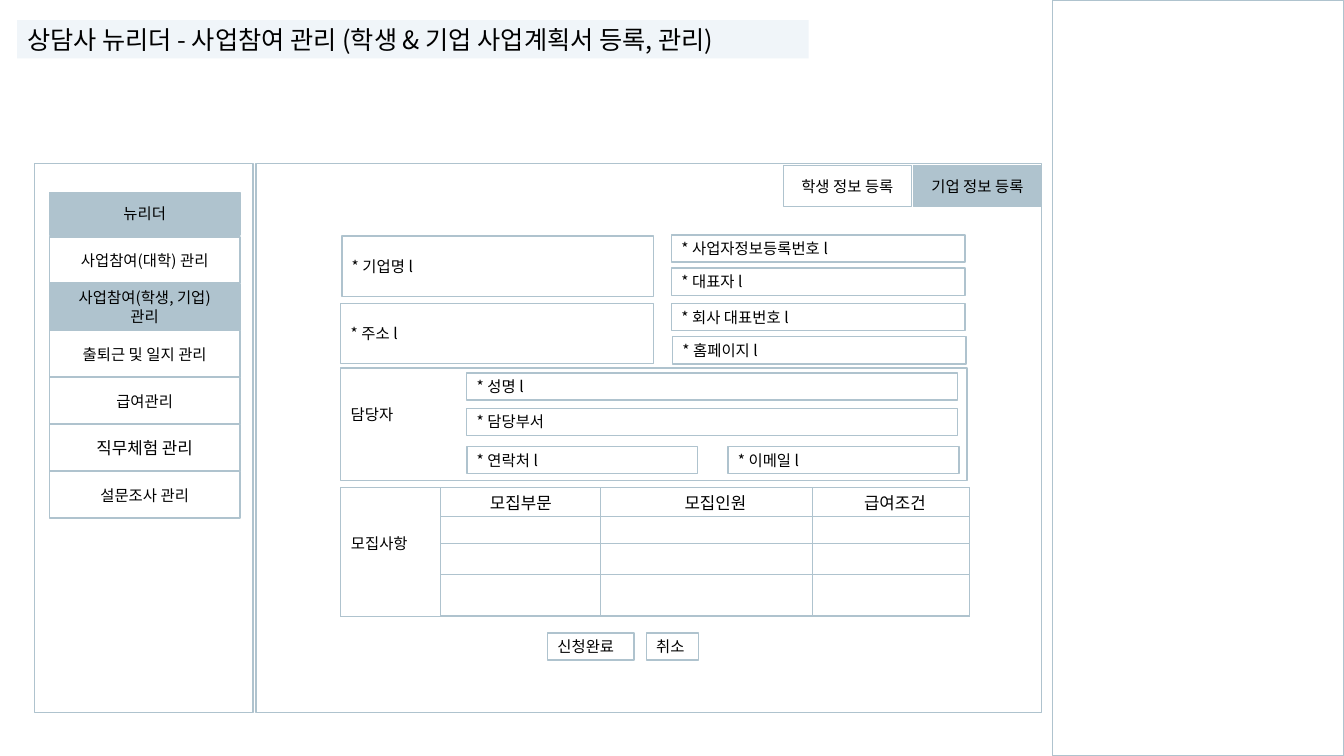
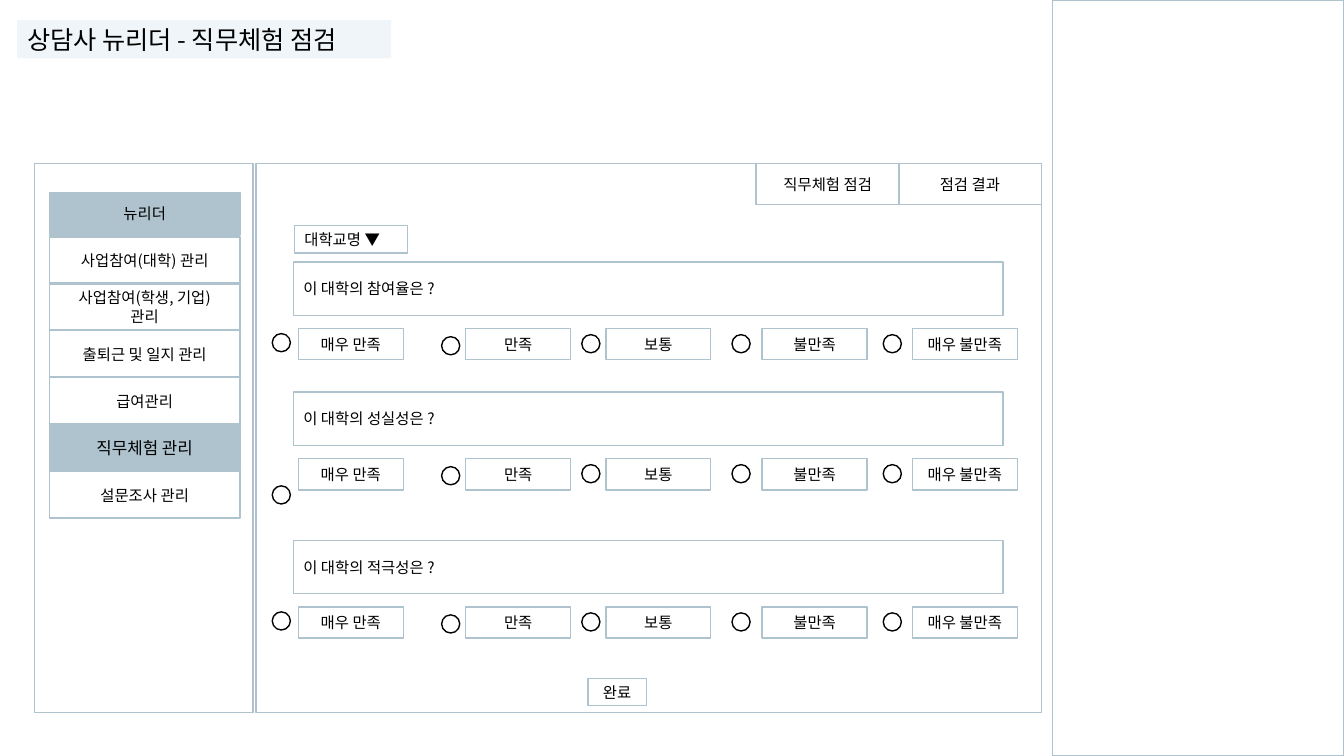
from lxml import etree
from pptx import Presentation
from pptx.dml.color import RGBColor
from pptx.enum.shapes import MSO_SHAPE
from pptx.enum.text import MSO_ANCHOR, PP_ALIGN
from pptx.oxml.ns import qn
from pptx.util import Inches, Pt

RECT, OVAL = MSO_SHAPE.RECTANGLE, MSO_SHAPE.OVAL
LEFT, MID = PP_ALIGN.LEFT, PP_ALIGN.CENTER
CENTER = MSO_ANCHOR.MIDDLE
FONT = "Noto Sans CJK KR"
BLUE, PALE, BLACK = "AFC3CE", "F0F5F9", "000000"
rgb = RGBColor.from_string


def text(frame, words, size=11, align=LEFT):
    """Write one paragraph per line of words."""
    for i, line in enumerate(words.split("\n")):
        para = frame.add_paragraph() if i else frame.paragraphs[0]
        para.alignment = align
        run = para.add_run()
        run.text = line
        font = run.font
        font.size, font.bold = Pt(size), False
        font.color.rgb = rgb(BLACK)
        font.name = FONT
        east = etree.SubElement(run._r.get_or_add_rPr(), qn("a:ea"))
        east.set("typeface", FONT)


def box(slide, x, y, w, h, words="", fill=None, line=BLUE, kind=RECT, low=0.05, **style):
    """Draw an outlined shape; low is the inset below its text."""
    shape = slide.shapes.add_shape(kind, Inches(x), Inches(y), Inches(w), Inches(h))
    shape.shadow.inherit = False
    if fill:
        shape.fill.solid()
        shape.fill.fore_color.rgb = rgb(fill)
    else:
        shape.fill.background()
    if line:
        shape.line.color.rgb = rgb(line)
        shape.line.width = Pt(1)
    else:
        shape.line.fill.background()
    if words:
        frame = shape.text_frame
        frame.word_wrap = True
        frame.vertical_anchor = CENTER
        frame.margin_bottom = Inches(low)
        text(frame, words, **style)


deck = Presentation()
deck.slide_width, deck.slide_height = Inches(13.33), Inches(7.5)

# Shared screen: title band, panels and side menu
MENU = ["사업참여(대학) 관리", "사업참여(학생, 기업)\n관리", "출퇴근 및 일지 관리",
        "급여관리", "직무체험 관리", "설문조사 관리"]
STEP = (4.68 - 2.35) / 5
PAGES = [("상담사 뉴리더 - 사업참여 관리 (학생 & 기업 사업계획서 등록, 관리)", 7.85, 1),
         ("상담사 뉴리더 - 직무체험 점검", 3.71, 4)]
slides = []
for title, width, active in PAGES:
    slide = deck.slides.add_slide(deck.slide_layouts[6])
    slides.append(slide)
    box(slide, 0.17, 0.2, width, 0.38, title, fill=PALE, line=None, size=18)
    box(slide, 10.44, 0, 2.89, 7.5)
    box(slide, 2.54, 1.62, 7.79, 5.45)
    box(slide, 0.34, 1.62, 2.17, 5.45)
    box(slide, 0.49, 1.91, 1.89, 0.42, "뉴리더", fill=BLUE, align=MID)
    for i, item in enumerate(MENU):
        box(slide, 0.49, 2.35 + i * STEP, 1.89, 0.46, item,
            fill=BLUE if i == active else None,
            size=12 if item == "직무체험 관리" else 11, align=MID)
form, survey = slides

# Form: tabs
box(form, 9.06, 1.64, 1.27, 0.41, "기업 정보 등록", fill=BLUE, align=MID)
box(form, 7.77, 1.64, 1.27, 0.41, "학생 정보 등록", align=MID)

# Form: company and contact fields
box(form, 3.38, 3.65, 6.21, 1.12, "담당자", low=0.24)
for x, y, w, h, label in [
    (3.39, 2.34, 3.09, 0.6, "* 기업명 l"),
    (3.38, 3.01, 3.1, 0.6, "* 주소 l"),
    (6.66, 2.33, 2.91, 0.27, "* 사업자정보등록번호 l"),
    (6.66, 2.66, 2.91, 0.27, "* 대표자 l"),
    (6.66, 3.01, 2.91, 0.27, "* 회사 대표번호 l"),
    (6.67, 3.34, 2.91, 0.27, "* 홈페이지 l"),
    (4.63, 3.7, 4.87, 0.27, "* 성명 l"),
    (4.63, 4.05, 4.87, 0.27, "* 담당부서"),
    (4.63, 4.43, 2.29, 0.27, "* 연락처 l"),
    (7.22, 4.43, 2.29, 0.27, "* 이메일 l"),
    (5.43, 6.28, 0.86, 0.27, "신청완료"),
    (6.41, 6.28, 0.52, 0.27, "취소"),
]:
    box(form, x, y, w, h, label)

# Form: recruitment table
COLS, ROWS = [0.99, 1.58, 2.11, 1.56], [0.28, 0.27, 0.31, 0.22]
HEADS = [("모집사항", 0.1, 11), ("모집부문", 0.49, 12),
         ("모집인원", 0.84, 12), ("급여조건", 0.51, 12)]
grid = form.shapes.add_table(4, 4, Inches(3.38), Inches(4.84),
                             Inches(sum(COLS)), Inches(sum(ROWS))).table
grid.first_row = grid.horz_banding = False
for c, width in enumerate(COLS):
    grid.columns[c].width = Inches(width)
for r, height in enumerate(ROWS):
    grid.rows[r].height = Inches(height)
    for c, (head, inset, size) in enumerate(HEADS):
        cell = grid.cell(r, c)
        cell.fill.background()
        cell.vertical_anchor = CENTER
        cell.margin_left = Inches(inset)
        cell.margin_right = cell.margin_top = cell.margin_bottom = 0
        if r == 0:
            text(cell.text_frame, head, size=size)
        else:
            cell.text_frame.paragraphs[0]._p.get_or_add_endParaRPr().set("sz", "800")
        outer = [("lnL", c == 0), ("lnR", c == 3), ("lnT", r == 0), ("lnB", r == 3)]
        for i, (side, edge) in enumerate(outer):
            rule = etree.Element(qn("a:" + side), w=str(Pt(1 if edge else 0.5)))
            solid = etree.SubElement(rule, qn("a:solidFill"))
            etree.SubElement(solid, qn("a:srgbClr"), val=BLUE)
            cell._tc.get_or_add_tcPr().insert(i, rule)
grid.cell(0, 0).merge(grid.cell(3, 0))
grid.cell(0, 0).margin_bottom = Inches(0.19)

# Survey: tabs, school picker and finish button
box(survey, 8.91, 1.62, 1.42, 0.41, "점검 결과", align=MID)
box(survey, 7.5, 1.62, 1.42, 0.41, "직무체험 점검", align=MID)
box(survey, 2.92, 2.24, 1.12, 0.27, "대학교명 ▼")
box(survey, 5.83, 6.73, 0.58, 0.27, "완료", align=MID)

# Survey: questions, each with five answers and their radio buttons
ASKS = [("이 대학의 참여율은 ?", 2.6, 0.71), ("이 대학의 성실성은 ?", 3.89, 0.93),
        ("이 대학의 적극성은 ?", 5.36, 0.71)]
PICKS = [("매우 만족", 2.7, 2.96), ("만족", 4.38, 4.62), ("보통", 5.77, 6.01),
         ("불만족", 7.26, 7.56), ("매우 불만족", 8.76, 9.05)]
for ask, top, first in ASKS:
    box(survey, 2.91, top, 7.04, 0.53, ask)
    drops = [first, 0.74, 0.72, 0.72, 0.72]
    for (pick, dot, left), drop in zip(PICKS, drops):
        box(survey, dot, top + drop, 0.18, 0.18, line=BLACK, kind=OVAL)
        box(survey, left, top + 0.66, 1.04, 0.31, pick, align=MID)

deck.save("out.pptx")
